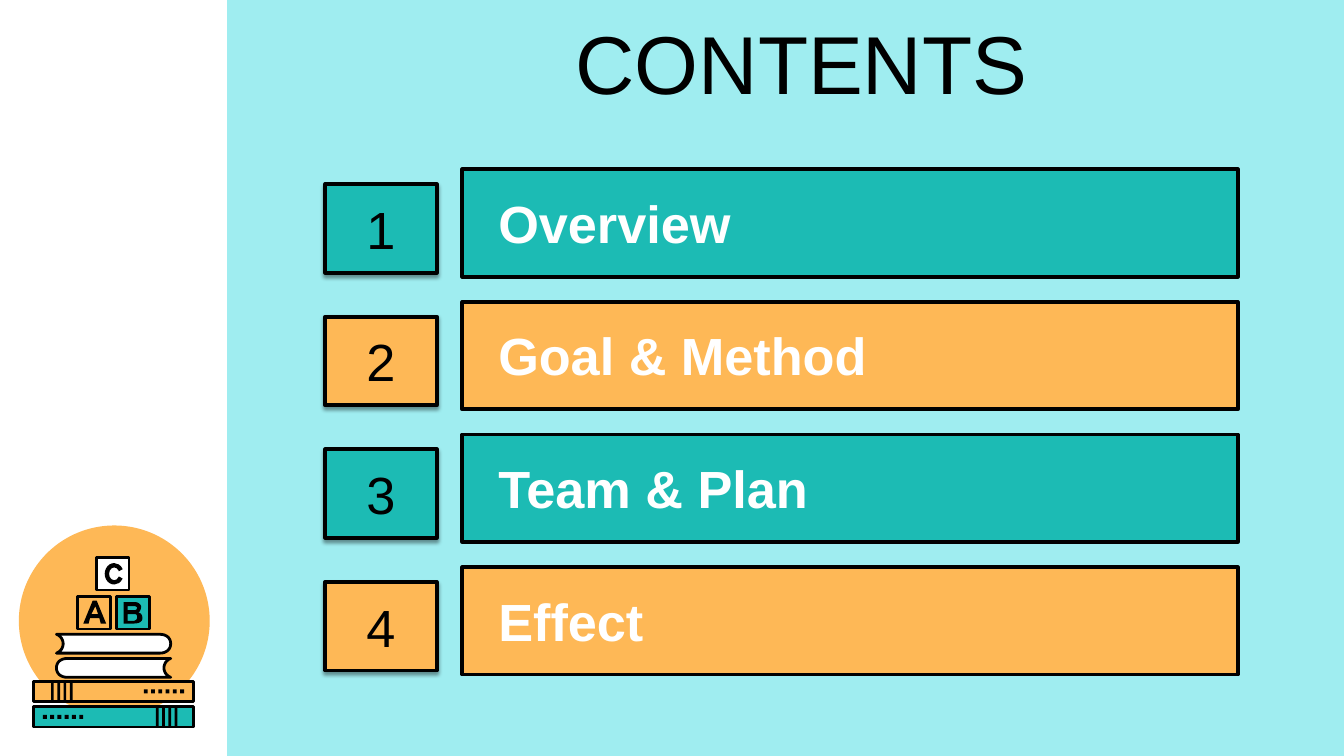
from lxml import etree
from pptx import Presentation
from pptx.dml.color import RGBColor
from pptx.enum import shapes, text
from pptx.oxml.ns import qn
from pptx.util import Inches, Pt

BLACK = RGBColor(0x00, 0x00, 0x00)
WHITE = RGBColor(0xFF, 0xFF, 0xFF)
AQUA = RGBColor(0x9F, 0xED, 0xF0)
TEAL = RGBColor(0x1C, 0xBB, 0xB4)
ORANGE = RGBColor(0xFE, 0xB8, 0x56)
SHAPE = shapes.MSO_SHAPE
SLIDE_W = 10
SLIDE_H = SLIDE_W * 9 / 16
TOPICS = ["Overview", "Goal & Method", "Team & Plan", "Effect"]
ROW_STEP = 2.96 / 3

LETTER_A = [
    [(0.71, 4.51), (0.68, 4.57), (0.73, 4.57)],
    [(0.69, 4.47), (0.72, 4.47), (0.79, 4.64), (0.75, 4.64),
     (0.74, 4.6), (0.67, 4.6), (0.66, 4.64), (0.62, 4.64)],
]
LETTER_B = [
    [(0.95, 4.57), (0.95, 4.62), (1, 4.62),
     (1.02, 4.61, 1.02, 4.61, 1.02, 4.59), (1.02, 4.58, 1.02, 4.57, 1, 4.57)],
    [(0.95, 4.51), (0.95, 4.54), (1, 4.54),
     (1.01, 4.54, 1.02, 4.54, 1.02, 4.52), (1.02, 4.52, 1.01, 4.51, 1, 4.51)],
    [(0.92, 4.48), (1, 4.48), (1.04, 4.48, 1.05, 4.51, 1.05, 4.51),
     (1.05, 4.54, 1.04, 4.55, 1.03, 4.56), (1.05, 4.56, 1.06, 4.58, 1.06, 4.6),
     (1.06, 4.63, 1.03, 4.64, 1, 4.64), (0.92, 4.64)],
]
OPEN_BOOK = [
    (0.42, 4.72), (1.19, 4.72), (1.24, 4.72, 1.27, 4.75, 1.27, 4.79),
    (1.27, 4.83, 1.24, 4.86, 1.19, 4.86), (0.42, 4.86),
    (0.45, 4.85, 0.47, 4.82, 0.47, 4.79), (0.47, 4.76, 0.45, 4.73, 0.42, 4.72),
]


def style(sp, fill, line_width):
    sp.shadow.inherit = False
    sp.fill.solid()
    sp.fill.fore_color.rgb = fill
    if line_width:
        sp.line.color.rgb = BLACK
        sp.line.width = Pt(line_width)
    else:
        sp.line.fill.background()
    return sp


def add_box(s, x, y, w, h, fill, line_width=0, kind=SHAPE.RECTANGLE):
    sp = s.shapes.add_shape(kind, Inches(x), Inches(y), Inches(w), Inches(h))
    return style(sp, fill, line_width)


def flatten(contour, steps=8):
    points = [contour[0]]
    for seg in contour[1:]:
        if len(seg) == 2:
            points.append(seg)
            continue
        x0, y0 = points[-1]
        x1, y1, x2, y2, x3, y3 = seg
        for i in range(1, steps + 1):
            t = i / steps
            a, b, c, d = (1 - t) ** 3, 3 * t * (1 - t) ** 2, 3 * t * t * (1 - t), t ** 3
            points.append((a * x0 + b * x1 + c * x2 + d * x3,
                           a * y0 + b * y1 + c * y2 + d * y3))
    return [(Inches(x), Inches(y)) for x, y in points]


def add_outline(s, contours, fill, line_width=0):
    first, *rest = [flatten(c) for c in contours]
    builder = s.shapes.build_freeform(*first[0])
    builder.add_line_segments(first[1:], close=True)
    for points in rest:
        builder.move_to(*points[0])
        builder.add_line_segments(points[1:], close=True)
    return style(builder.convert_to_shape(), fill, line_width)


def mirror_book(contour):
    return [tuple(1.69 - v if i % 2 == 0 else v + 0.18 for i, v in enumerate(seg))
            for seg in contour]


def add_closed_book(s, y, fill, bands_x, dots_x):
    add_box(s, 0.25, y, 1.19, 0.15, fill, 1.5)
    for i in range(4):
        add_box(s, bands_x + i * 0.14 / 3, y, 0.02, 0.15, BLACK)
    for i in range(6):
        add_box(s, dots_x + i * 0.27 / 5, y + 0.06, 0.03, 0.03, BLACK)


def add_emblem(s):
    add_box(s, 0.14, 3.91, 1.42, 1.42, ORANGE, kind=SHAPE.OVAL)
    add_closed_book(s, 5.07, ORANGE, 0.38, 1.07)
    add_closed_book(s, 5.26, TEAL, 1.16, 0.32)
    for x, y, fill in [(0.58, 4.44, ORANGE), (0.87, 4.44, TEAL), (0.72, 4.15, WHITE)]:
        add_box(s, x, y, 0.24, 0.24, fill, 1.5)
    add_outline(s, LETTER_A, BLACK)
    add_outline(s, LETTER_B, BLACK)
    letter_c = add_box(s, 0.78, 4.19, 0.14, 0.16, BLACK, kind=SHAPE.BLOCK_ARC)
    for i, value in enumerate([17.57, 198.9, 0.23]):
        letter_c.adjustments[i] = value
    for book in (OPEN_BOOK, mirror_book(OPEN_BOOK)):
        add_outline(s, [book], WHITE, 1.5)


def write(sp, words, size, color, align, bold=False, wrap=True):
    tf = sp.text_frame
    tf.word_wrap = wrap
    tf.vertical_anchor = text.MSO_ANCHOR.MIDDLE
    p = tf.paragraphs[0]
    p.alignment = align
    r = p.add_run()
    r.text = words
    r.font.name = "Arial"
    r.font.size = Pt(size)
    r.font.bold = bold
    r.font.color.rgb = color


def add_text(s, x, y, w, h, *args, **kwargs):
    sp = s.shapes.add_textbox(Inches(x), Inches(y), Inches(w), Inches(h))
    write(sp, *args, **kwargs)


def add_drop_shadow(sp):
    effects = sp.element.spPr.find(qn("a:effectLst"))
    shadow = etree.SubElement(effects, qn("a:outerShdw"), blurRad=str(Pt(2)),
                              dist=str(Pt(1.5)), dir="5400000", rotWithShape="0")
    color = etree.SubElement(shadow, qn("a:srgbClr"), val=str(BLACK))
    etree.SubElement(color, qn("a:alpha"), val="40000")


def add_topic(s, index, topic):
    offset = index * ROW_STEP
    fill = ORANGE if index % 2 else TEAL
    number = add_box(s, 2.42, 1.37 + offset, 0.83, 0.66, fill, 2)
    add_drop_shadow(number)
    write(number, str(index + 1), 28, BLACK, text.PP_ALIGN.CENTER, wrap=False)
    add_box(s, 3.44, 1.26 + offset, 5.77, 0.8, fill, 2)
    add_text(s, 3.61, 1.37 + offset, 5.2, 0.57, topic, 28, WHITE,
             text.PP_ALIGN.LEFT, bold=True)


def main():
    prs = Presentation()
    prs.slide_width, prs.slide_height = Inches(SLIDE_W), Inches(SLIDE_H)
    s = prs.slides.add_slide(prs.slide_layouts[6])
    add_box(s, 1.69, 0, 8.31, SLIDE_H, AQUA)
    add_emblem(s)
    add_text(s, 1.93, 0.03, 8.07, 0.85, "CONTENTS", 44, BLACK, text.PP_ALIGN.CENTER)
    for index, topic in enumerate(TOPICS):
        add_topic(s, index, topic)
    prs.save("out.pptx")


if __name__ == "__main__":
    main()
